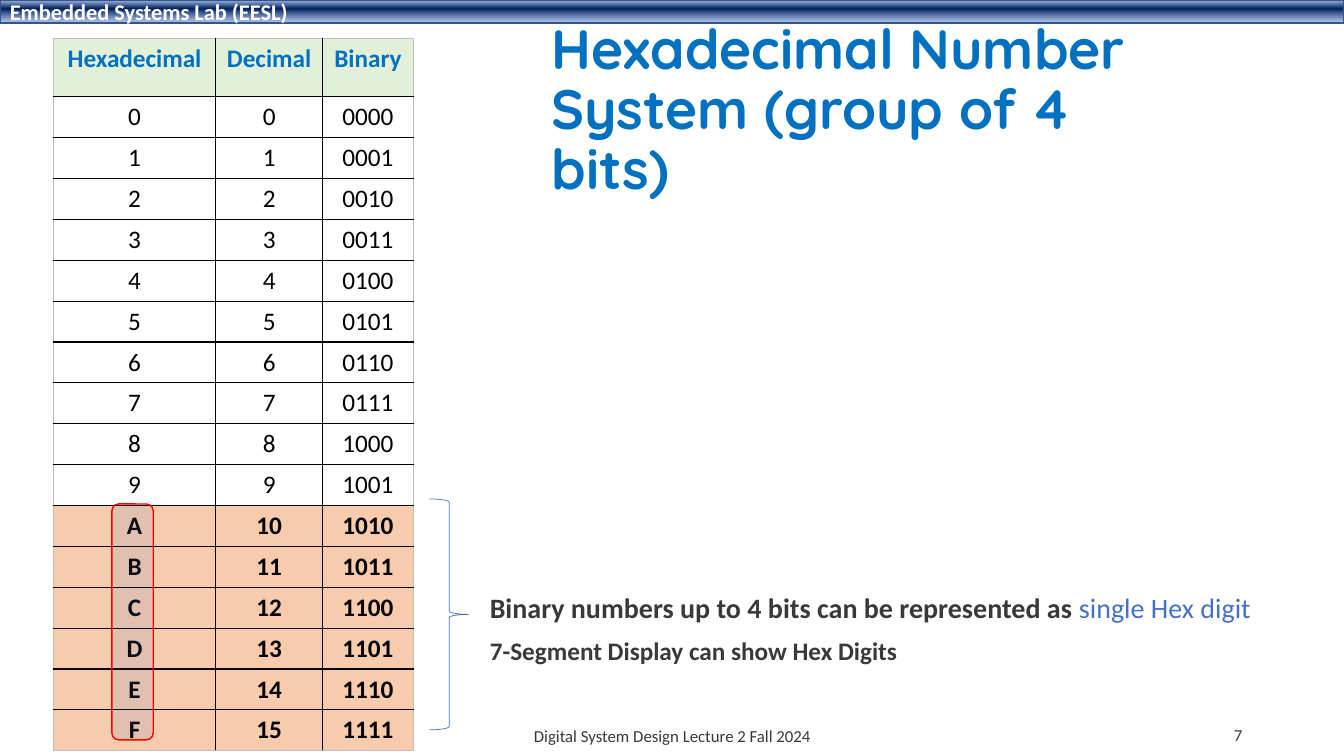
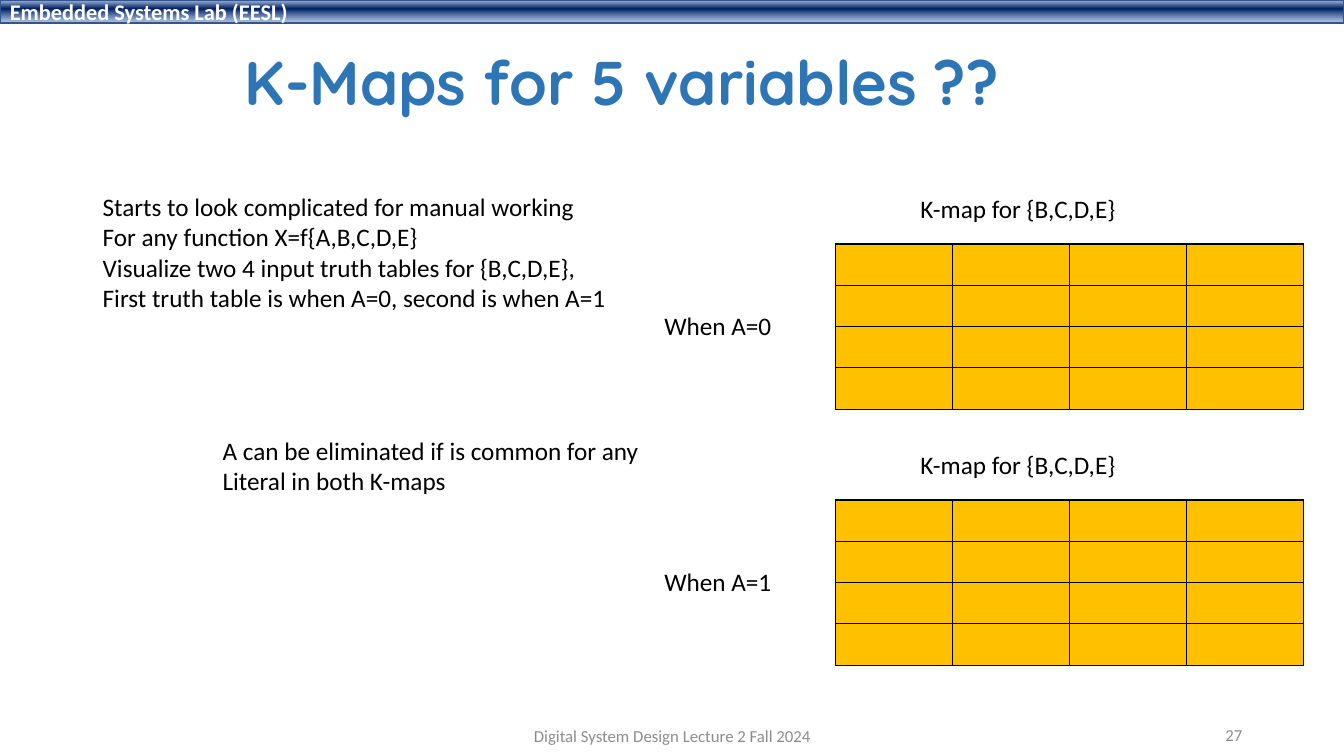
import dataclasses

import lxml.etree
import pptx
import pptx.dml.color
import pptx.enum.shapes
import pptx.enum.text
import pptx.oxml
import pptx.oxml.ns
import pptx.util

Inches = pptx.util.Inches
Pt = pptx.util.Pt
MSO_SHAPE = pptx.enum.shapes.MSO_SHAPE
PP_ALIGN = pptx.enum.text.PP_ALIGN
MSO_ANCHOR = pptx.enum.text.MSO_ANCHOR
MSO_AUTO_SIZE = pptx.enum.text.MSO_AUTO_SIZE
qn = pptx.oxml.ns.qn


@dataclasses.dataclass(frozen=True)
class Theme:
    # Fonts
    body_font: str = "Calibri"
    title_font: str = "Quicksand"
    # Colours
    white: str = "FFFFFF"
    ink: str = "000000"
    dark: str = "3B3838"
    muted: str = "8C8C8C"
    heading: str = "0070C0"
    kmap_heading: str = "2E75B6"
    accent: str = "4472C4"
    alert: str = "FF0000"
    header_fill: str = "E2F0D9"
    letter_fill: str = "F8CBAD"
    kmap_fill: str = "FFC000"
    table_edge: str = "BFBFBF"
    band_line: str = "325491"
    # Gradient stops: position, colour and opacity in percent
    band_stops: tuple = ((2, "ABC0E4", 100), (38, "002060", 100), (93, "7E9ED6", 64))
    # Type sizes
    title_size: float = 44
    long_title_size: float = 39.6
    lead_size: float = 20
    body_size: float = 18
    band_size: float = 16
    footer_size: float = 12


THEME = Theme()
SLIDE_WIDTH, SLIDE_HEIGHT = 13.33, 7.5
COURSE = "Digital System Design Lecture 2 Fall 2024"


def rgb(colour):
    return pptx.dml.color.RGBColor.from_string(colour)


def text_format(size=THEME.body_size, colour=THEME.ink, bold=False, name=THEME.body_font):
    return {"size": Pt(size), "bold": bold, "name": name, "color": colour}


def format_font(font, values):
    for attribute, value in values.items():
        if attribute == "color":
            font.color.rgb = rgb(value)
        else:
            setattr(font, attribute, value)


def write(frame, paragraphs, align=PP_ALIGN.LEFT, line_spacing=None):
    """Fill a text frame; each paragraph is a list of (words, format) runs."""
    for index, runs in enumerate(paragraphs):
        paragraph = frame.add_paragraph() if index else frame.paragraphs[0]
        paragraph.alignment = align
        if line_spacing:
            paragraph.line_spacing = line_spacing
        for words, values in runs:
            run = paragraph.add_run()
            run.text = words
            format_font(run.font, values)


def add_text(slide, box, paragraphs, align=PP_ALIGN.LEFT, wrap=False, anchor=MSO_ANCHOR.TOP):
    frame = slide.shapes.add_textbox(*map(Inches, box)).text_frame
    frame_format = {
        "word_wrap": wrap,
        "vertical_anchor": anchor,
        "auto_size": MSO_AUTO_SIZE.NONE if wrap else MSO_AUTO_SIZE.SHAPE_TO_FIT_TEXT,
    }
    for attribute, value in frame_format.items():
        setattr(frame, attribute, value)
    write(frame, paragraphs, align)


def add_outline(slide, kind, box, colour, width):
    shape = slide.shapes.add_shape(kind, *map(Inches, box))
    shape.shadow.inherit = False
    shape.fill.background()
    shape.line.color.rgb = rgb(colour)
    shape.line.width = Pt(width)
    return shape


def set_opacity(colour_element, percent):
    alpha = lxml.etree.SubElement(colour_element, qn("a:alpha"))
    alpha.set("val", str(percent * 1000))


def add_band(slide):
    band = add_outline(slide, MSO_SHAPE.RECTANGLE, (0, 0, SLIDE_WIDTH, 0.23), THEME.band_line, 1)
    gradient = pptx.oxml.parse_xml(
        '<a:gradFill xmlns:a="http://schemas.openxmlformats.org/drawingml/2006/main" '
        'rotWithShape="1"><a:gsLst/><a:lin ang="5400000" scaled="0"/></a:gradFill>'
    )
    for position, colour, opacity in THEME.band_stops:
        stop = lxml.etree.SubElement(gradient[0], qn("a:gs"), pos=str(position * 1000))
        tint = lxml.etree.SubElement(stop, qn("a:srgbClr"), val=colour)
        if opacity < 100:
            set_opacity(tint, opacity)
    properties = band.element.spPr
    properties.replace(properties.find(qn("a:noFill")), gradient)
    band.text_frame.vertical_anchor = MSO_ANCHOR.MIDDLE
    write(band.text_frame, [[("Embedded Systems Lab (EESL)",
                              text_format(THEME.band_size, THEME.white, True))]])


def add_base_slide(deck, title, title_box, title_format, number, footer_colour, title_inset=0.1):
    """Title-only slide with the lab band, title, footer and page number."""
    slide = deck.slides.add_slide(deck.slide_layouts[5])
    add_band(slide)
    heading = slide.shapes.title
    for side, length in zip(("left", "top", "width", "height"), title_box):
        setattr(heading, side, Inches(length))
    frame_format = {
        "vertical_anchor": MSO_ANCHOR.MIDDLE,
        "auto_size": MSO_AUTO_SIZE.NONE,
        "word_wrap": True,
        "margin_right": Inches(title_inset),
    }
    for attribute, value in frame_format.items():
        setattr(heading.text_frame, attribute, value)
    write(heading.text_frame, [[(title, title_format)]], line_spacing=0.9)

    footer_format = text_format(THEME.footer_size, footer_colour)
    for box, words, align in (
        ((4.42, 7.1, 4.5, 0.4), COURSE, PP_ALIGN.CENTER),
        ((9.42, 7.09, 3, 0.4), str(number), PP_ALIGN.RIGHT),
    ):
        add_text(slide, box, [[(words, footer_format)]], align, True, MSO_ANCHOR.MIDDLE)
    return slide


def add_border(cell, side, colour):
    line = lxml.etree.SubElement(cell._tc.get_or_add_tcPr(), qn(f"a:ln{side}"), w=str(Pt(1)))
    fill = lxml.etree.SubElement(line, qn("a:solidFill"))
    lxml.etree.SubElement(fill, qn("a:srgbClr"), val=colour)


def add_grid(slide, left, top, widths, heights, edge_colour):
    """Bordered table without banding; returns its table object."""
    box = map(Inches, (left, top, sum(widths), sum(heights)))
    grid = slide.shapes.add_table(len(heights), len(widths), *box).table
    grid.first_row = grid.horz_banding = False
    for column, width in zip(grid.columns, widths):
        column.width = Inches(width)
    for row, height in zip(grid.rows, heights):
        row.height = Inches(height)
    last_row, last_column = len(heights) - 1, len(widths) - 1
    for r, row in enumerate(grid.rows):
        for c, cell in enumerate(row.cells):
            outer = {"L": c == 0, "R": c == last_column, "T": r == 0, "B": r == last_row}
            for side, is_edge in outer.items():
                add_border(cell, side, edge_colour if is_edge else THEME.ink)
    return grid


def add_number_table(slide, left, top):
    rows = [("Hexadecimal", "Decimal", "Binary")]
    rows += [(f"{n:X}", str(n), f"{n:04b}") for n in range(16)]
    grid = add_grid(slide, left, top, (1.61, 1.06, 0.9), [0.58] + [0.37] * 16, THEME.table_edge)
    for index, (row, values) in enumerate(zip(grid.rows, rows)):
        if index == 0:
            fill, values_format = THEME.header_fill, text_format(colour=THEME.heading, bold=True)
        elif index > 10:
            fill, values_format = THEME.letter_fill, text_format(bold=True)
        else:
            fill, values_format = None, text_format()
        for cell, value in zip(row.cells, values):
            if fill:
                cell.fill.solid()
                cell.fill.fore_color.rgb = rgb(fill)
            else:
                cell.fill.background()
            write(cell.text_frame, [[(value, values_format)]], PP_ALIGN.CENTER)


def add_letter_digits_note(slide, left, top):
    """Brace beside the rows A to F with its two remarks."""
    add_outline(slide, MSO_SHAPE.RIGHT_BRACE, (left, top, 0.39, 2.29), THEME.accent, 0.5)
    add_text(slide, (left + 0.5, top + 0.86, 7.86, 0.44), [[
        ("Binary numbers up to 4 bits can be represented as ",
         text_format(THEME.lead_size, THEME.dark, True)),
        ("single Hex digit", text_format(THEME.lead_size, THEME.accent)),
    ]])
    add_text(slide, (left + 0.5, top + 1.3, 4.28, 0.4), [[
        ("7-Segment Display can show Hex Digits", text_format(colour=THEME.dark, bold=True)),
    ]])


def add_letter_highlight(slide, box):
    highlight = add_outline(slide, MSO_SHAPE.ROUNDED_RECTANGLE, box, THEME.alert, 1)
    highlight.fill.solid()
    highlight.fill.fore_color.rgb = rgb(THEME.accent)
    set_opacity(highlight.element.spPr.find(qn("a:solidFill"))[0], 12)


def add_kmap(slide, left, top, condition):
    """Condition at the left, caption above an empty 4 by 4 map."""
    grid = add_grid(slide, left + 1.8, top + 0.55, [1.16] * 4, [0.41] * 4, THEME.ink)
    for cell in grid.iter_cells():
        cell.fill.solid()
        cell.fill.fore_color.rgb = rgb(THEME.kmap_fill)
    add_text(slide, (left + 2.54, top, 2.16, 0.4), [[("K-map for {B,C,D,E}", text_format())]])
    add_text(slide, (left, top + 1.16, 1.28, 0.4), [[(condition, text_format())]])


def build_hexadecimal_slide(deck):
    slide = add_base_slide(
        deck, "Hexadecimal Number System (group of 4 bits)", (5.37, 0.38, 6.65, 1.45),
        text_format(THEME.long_title_size, THEME.heading, True, THEME.title_font),
        7, THEME.dark, title_inset=0.4)
    add_number_table(slide, 0.53, 0.38)
    add_letter_digits_note(slide, 4.26, 4.95)
    add_letter_highlight(slide, (1.11, 5, 0.41, 2.34))


def build_kmap_slide(deck):
    slide = add_base_slide(
        deck, "K-Maps for 5 variables ??", (2.33, 0.46, 10.1, 0.77),
        text_format(THEME.title_size, THEME.kmap_heading, True, THEME.title_font),
        27, THEME.muted)
    # Explanations
    approach = (
        "Starts to look complicated for manual working",
        "For any function X=f{A,B,C,D,E}",
        "Visualize two 4 input truth tables for {B,C,D,E},",
        "First truth table is when A=0, second is when A=1",
    )
    elimination = ("A can be eliminated if is common for any", "Literal in both K-maps")
    for box, lines in (((0.92, 1.85, 5.25, 1.31), approach),
                       ((2.11, 4.27, 4.38, 0.71), elimination)):
        add_text(slide, box, [[(line, text_format())] for line in lines])
    # One map for each value of A
    for a in range(2):
        add_kmap(slide, 6.49, 1.87 + 2.54 * a, f"When A={a}")


def main():
    deck = pptx.Presentation()
    deck.slide_width, deck.slide_height = Inches(SLIDE_WIDTH), Inches(SLIDE_HEIGHT)
    build_hexadecimal_slide(deck)
    build_kmap_slide(deck)
    deck.save("out.pptx")


if __name__ == "__main__":
    main()
